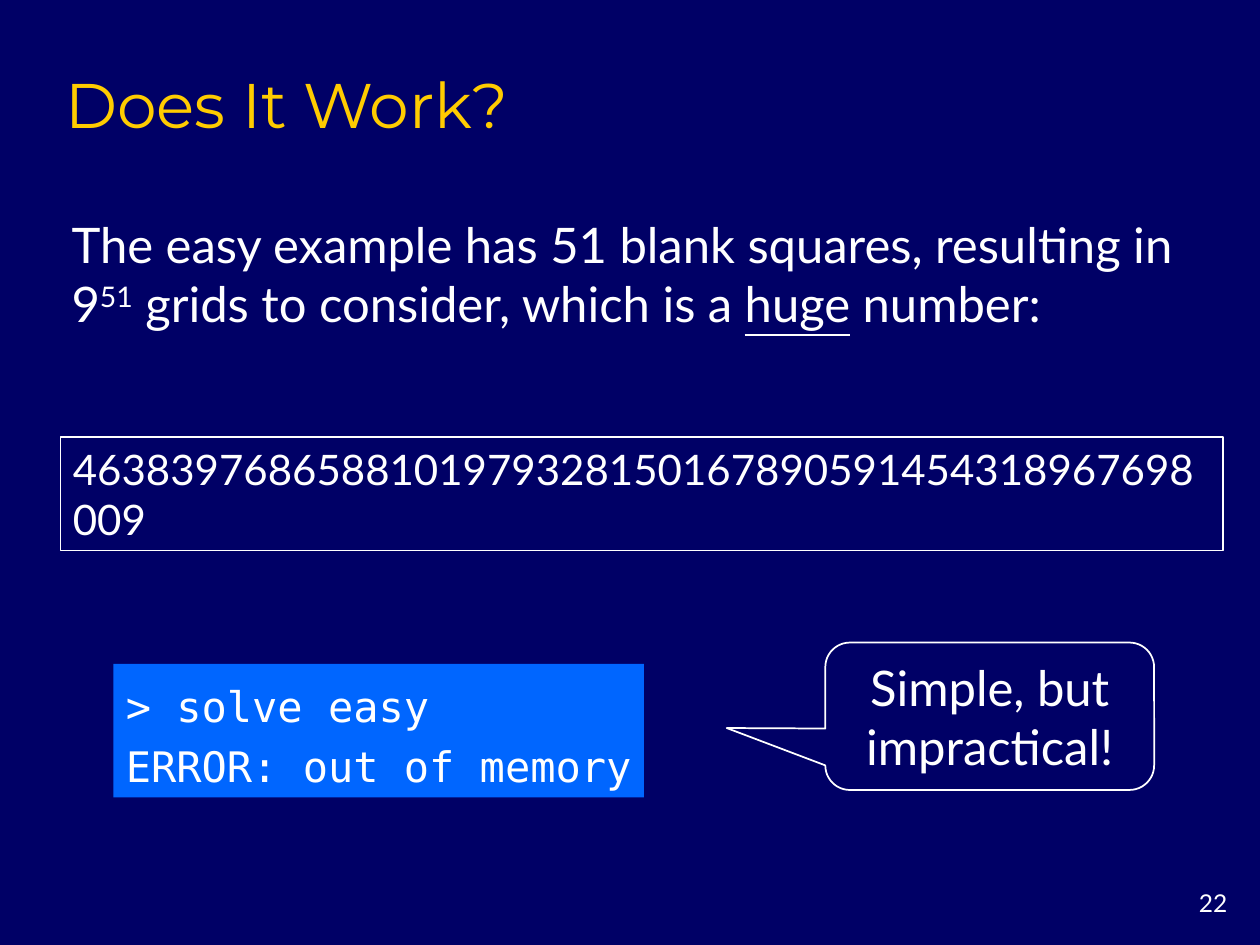
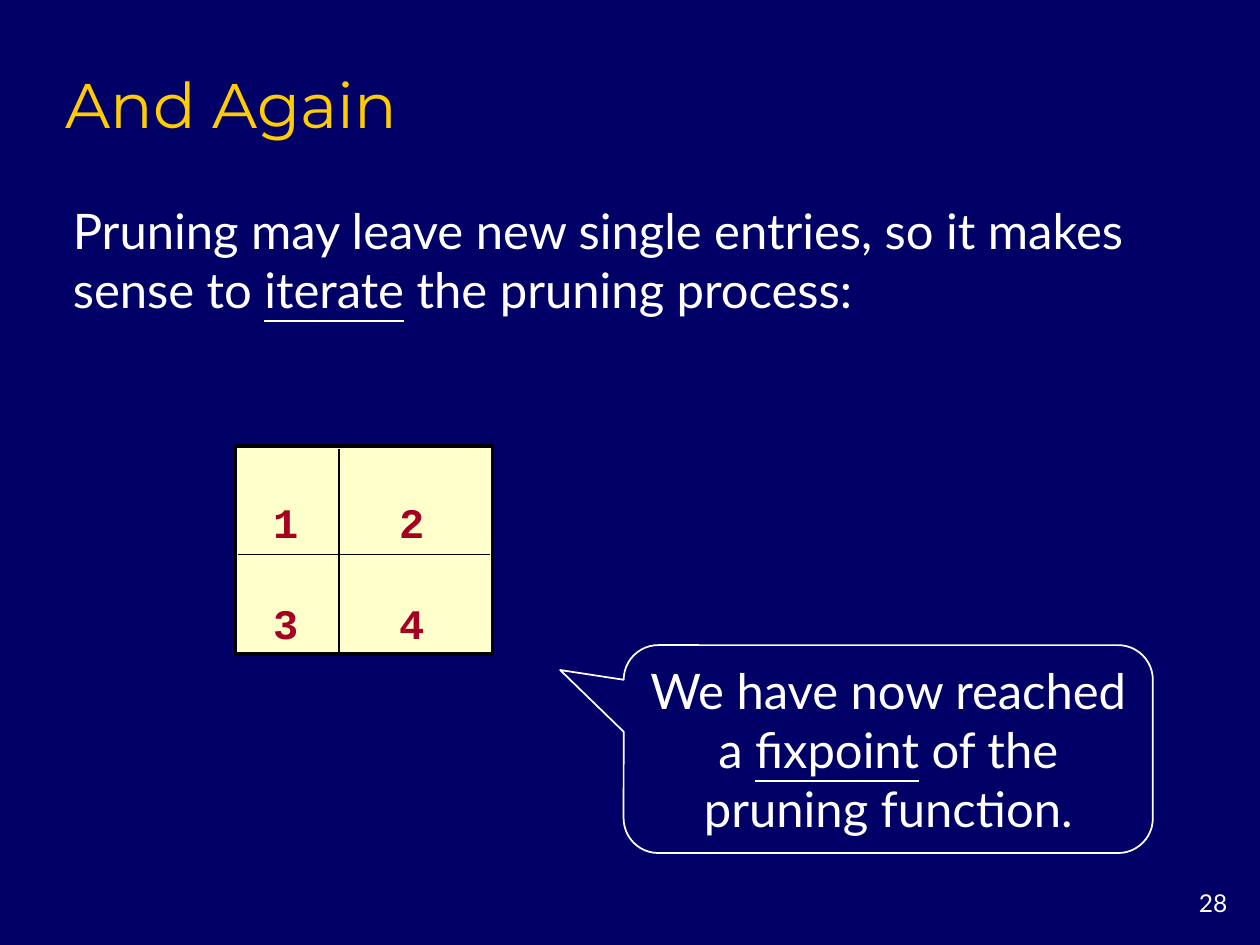
from lxml import etree
from pptx import Presentation
from pptx.dml.color import RGBColor
from pptx.enum.shapes import MSO_CONNECTOR, MSO_SHAPE
from pptx.enum.text import MSO_ANCHOR, PP_ALIGN
from pptx.oxml.ns import qn
from pptx.util import Inches, Pt

NAVY = RGBColor(0x00, 0x00, 0x66)
GOLD = RGBColor(0xFF, 0xCC, 0x00)
WHITE = RGBColor(0xFF, 0xFF, 0xFF)
BLUE = RGBColor(0x00, 0x66, 0xFF)
CREAM = RGBColor(0xFF, 0xFF, 0xCC)
BLACK = RGBColor(0x00, 0x00, 0x00)
RED = RGBColor(0xA5, 0x00, 0x21)

RECT = MSO_SHAPE.RECTANGLE
BUBBLE = MSO_SHAPE.ROUNDED_RECTANGULAR_CALLOUT
LINE = MSO_CONNECTOR.STRAIGHT
TOP, MID, LOW = MSO_ANCHOR.TOP, MSO_ANCHOR.MIDDLE, MSO_ANCHOR.BOTTOM
LEFT, MIDST, RIGHT = PP_ALIGN.LEFT, PP_ALIGN.CENTER, PP_ALIGN.RIGHT

HEAD, BODY, CODE, DIGIT = "Montserrat", "Lato", "DejaVu Sans Mono", "Courier New"
COLS, ROWS = 100, 75


class Deck:
    def __init__(self):
        self.prs = Presentation()
        self.prs.slide_width, self.prs.slide_height = Inches(10), Inches(7.5)
        self.slide = None

    def place(self, x, y, w, h):
        col, row = self.prs.slide_width / COLS, self.prs.slide_height / ROWS
        return [round(v) for v in (x * col, y * row, w * col, h * row)]

    def page(self, title, number):
        self.slide = self.prs.slides.add_slide(self.prs.slide_layouts[6])
        fill = self.slide.background.fill
        fill.solid()
        fill.fore_color.rgb = NAVY
        self.text((4.2, 4.2, 85, 7.5), title, size=36, font=HEAD, color=GOLD, anchor=LOW)
        self.text((91.7, 70, 6.7, 3.3), str(number), size=14, align=RIGHT)

    def text(self, spot, words, anchor=TOP, **style):
        box = self.slide.shapes.add_textbox(*self.place(*spot))
        self.label(box, words, anchor=anchor, **style)

    def shape(self, kind, spot, fill=None, edge=None, width=1):
        item = self.slide.shapes.add_shape(kind, *self.place(*spot))
        item.shadow.inherit = False
        if fill is None:
            item.fill.background()
        else:
            item.fill.solid()
            item.fill.fore_color.rgb = fill
        if edge is None:
            item.line.fill.background()
        else:
            item.line.color.rgb = edge
            item.line.width = Pt(width)
        return item

    def bubble(self, spot, tip, words):
        item = self.shape(BUBBLE, spot, edge=WHITE)
        for i, value in enumerate((*tip, 0.167)):
            item.adjustments[i] = value
        self.label(item, words, anchor=MID, align=MIDST)

    def rule(self, x, y, w, h):
        x, y, w, h = self.place(x, y, w, h)
        line = self.slide.shapes.add_connector(LINE, x, y, x + w, y + h)
        line.line.color.rgb = BLACK
        line.line.width = Pt(1)
        etree.SubElement(line._element.spPr, qn("a:effectLst"))

    def label(self, item, words, size=28, font=BODY, color=WHITE, bold=False,
              anchor=TOP, align=LEFT, space=None, wrap=True, stops=()):
        frame = item.text_frame
        frame.word_wrap = wrap
        frame.vertical_anchor = anchor
        if isinstance(words, str):
            frame.text = words
        else:
            for part, mark in words:
                run = frame.paragraphs[0].add_run()
                run.text = part
                if mark == "under":
                    run.font.underline = True
                elif mark == "super":
                    run._r.get_or_add_rPr().set("baseline", "30000")
        for para in frame.paragraphs:
            para.alignment = align
            if space:
                para.line_spacing = space
            if stops:
                tabs = etree.SubElement(para._p.get_or_add_pPr(), qn("a:tabLst"))
                for stop in stops:
                    etree.SubElement(tabs, qn("a:tab"), pos=str(Inches(stop)), algn="l")
            for run in para.runs:
                run.font.size = Pt(size)
                run.font.name = font
                run.font.bold = bold
                run.font.color.rgb = color


def work(deck):
    deck.page("Does It Work?", 22)
    shell = deck.shape(RECT, (9, 52.7, 42.1, 10.6), fill=BLUE)
    deck.label(shell, "> solve easy\nERROR: out of memory", size=24, font=CODE,
               anchor=MID, space=1.2, wrap=False)
    deck.bubble((65.5, 51, 26.1, 11.7), (-0.8, 0.08), "Simple, but impractical!")
    deck.text((4.7, 14.2, 92.3, 15), [
        ("The easy example has 51 blank squares, resulting in 9", ""),
        ("51", "super"),
        (" grids to consider, which is a ", ""),
        ("huge", "under"),
        (" number:", ""),
    ], anchor=MID)
    count = deck.shape(RECT, (4.8, 34.7, 92.3, 9), edge=WHITE)
    deck.label(count, "4638397686588101979328150167890591454318967698009", size=24)


def again(deck):
    deck.page("And Again", 28)
    deck.text((4.8, 15.4, 90.2, 10.4), [
        ("Pruning may leave new single entries, so it makes sense to ", ""),
        ("iterate", "under"),
        (" the pruning process:", ""),
    ], anchor=MID)
    grid = deck.shape(RECT, (18.7, 35.4, 20.4, 16.5), fill=CREAM, edge=BLACK, width=2)
    grid.text_frame.margin_top = 0
    deck.label(grid, "\t1\t2\n\t3\t4", size=24, font=DIGIT, color=RED, bold=True,
               space=2.0, stops=(0.2, 1.2))
    deck.rule(18.9, 44, 20, 0)
    deck.rule(26.9, 35.6, 0, 16.4)
    deck.bubble((49.5, 51.2, 42, 16.5), (-0.62, -0.38), [
        ("We have now reached a ", ""),
        ("fixpoint", "under"),
        (" of the pruning function.", ""),
    ])


def main():
    deck = Deck()
    work(deck)
    again(deck)
    deck.prs.save("out.pptx")


if __name__ == "__main__":
    main()
